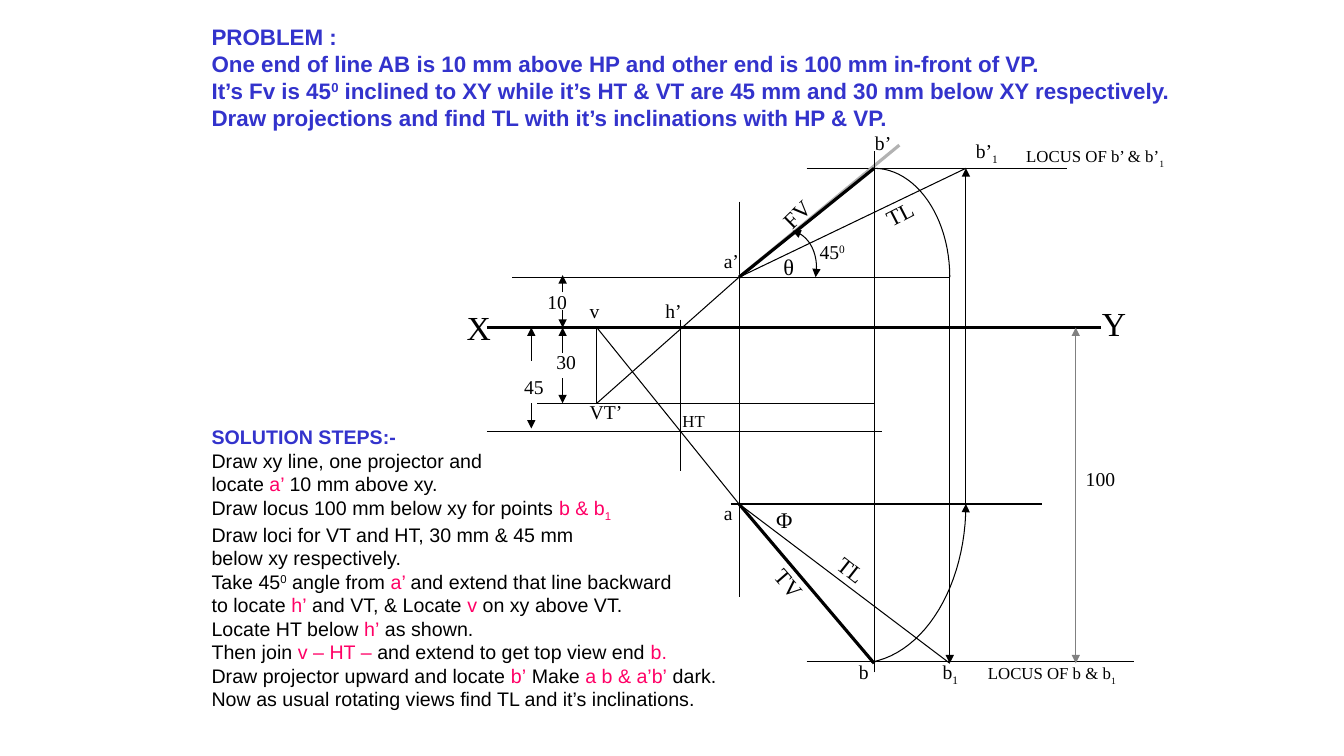
"""Build a descriptive-geometry slide: projections of line AB with its traces."""
from typing import NamedTuple

import pptx
import pptx.dml.color
import pptx.enum.shapes
import pptx.enum.text
import pptx.oxml.ns
import pptx.util
from lxml import etree

Inches = pptx.util.Inches
COLORS = {"black": "000000", "blue": "3333CC", "pink": "FF0066",
          "grey": "808080", "light": "B2B2B2"}
SERIF, SANS = "Times New Roman", "Arial"
SUB, SUPER = -25000, 30000
THIN, THICK = 0.75, 2.25

XY, A_FRONT_Y, B_FRONT_Y, A_TOP_Y, B_TOP_Y = 3.25, 2.75, 1.67, 5, 6.58
VT_Y, HT_Y, B_LOCUS_Y = 4, 4.28, 6.56
V_X, H_X, A_X, B_X, B1_TOP_X, B1_FRONT_X = 5.92, 6.75, 7.33, 8.67, 9.42, 9.58


class Run(NamedTuple):
    text: str
    color: str = "black"
    base: int = 0
    bold: bool = False


class Label(NamedTuple):
    left: float
    top: float
    width: float
    height: float
    runs: tuple
    size: int = 14
    rotation: float = 0


class Line(NamedTuple):
    x1: float
    y1: float
    x2: float
    y2: float
    width: float = THIN
    color: str = "black"
    ends: tuple = ()


class Arc(NamedTuple):
    points: tuple
    ends: tuple = ()


class Dimension(NamedTuple):
    label: Label
    arrows: tuple


def tag(text: str, sub: str = "", base: int = SUB) -> tuple:
    return (Run(text), Run(sub, base=base)) if sub else (Run(text),)


def pink(text: str) -> Run:
    return Run(text, "pink")


def blue(text: str, base: int = 0) -> Run:
    return Run(text, "blue", base, True)


def rgb(name: str) -> pptx.dml.color.RGBColor:
    return pptx.dml.color.RGBColor.from_string(COLORS[name])


def style_line(sp, width: float, color: str, ends: tuple) -> None:
    sp.line.width = pptx.util.Pt(width)
    sp.line.color.rgb = rgb(color)
    ln = sp.line._get_or_add_ln()
    for end in ends:
        etree.SubElement(ln, pptx.oxml.ns.qn(f"a:{end}End"), type="triangle")


def draw_line(shapes, line: Line) -> None:
    sp = shapes.add_connector(
        pptx.enum.shapes.MSO_CONNECTOR.STRAIGHT,
        Inches(line.x1), Inches(line.y1), Inches(line.x2), Inches(line.y2))
    style_line(sp, line.width, line.color, line.ends)
    etree.SubElement(sp._element.spPr, pptx.oxml.ns.qn("a:effectLst"))


def draw_arc(shapes, arc: Arc, steps: int = 24) -> None:
    curve = []
    for i in range(steps + 1):
        t = i / steps
        weights = ((1 - t) ** 3, 3 * t * (1 - t) ** 2, 3 * t * t * (1 - t), t ** 3)
        curve.append(tuple(Inches(sum(w * p[axis] for w, p in zip(weights, arc.points)))
                           for axis in (0, 1)))
    builder = shapes.build_freeform(*curve[0])
    builder.add_line_segments(curve[1:], close=False)
    sp = builder.convert_to_shape()
    sp.shadow.inherit = False
    sp.fill.background()
    style_line(sp, THIN, "black", arc.ends)


def draw_text(shapes, label: Label, paragraphs: tuple = (), font: str = SERIF) -> None:
    sp = shapes.add_textbox(*map(Inches, label[:4]))
    sp.rotation = label.rotation
    tf = sp.text_frame
    tf.word_wrap = bool(label.rotation)
    tf.auto_size = pptx.enum.text.MSO_AUTO_SIZE.SHAPE_TO_FIT_TEXT
    for i, runs in enumerate(paragraphs or (label.runs,)):
        p = tf.add_paragraph() if i else tf.paragraphs[0]
        for run in runs:
            r = p.add_run()
            r.text = run.text
            r.font.name = font
            r.font.size = pptx.util.Pt(label.size)
            r.font.bold = run.bold
            r.font.color.rgb = rgb(run.color)
            if run.base:
                r._r.get_or_add_rPr().set("baseline", str(run.base))


def draw_dimension(shapes, dim: Dimension) -> None:
    group = shapes.add_group_shape().shapes
    for x, start, end in dim.arrows:
        draw_line(group, Line(x, start, x, end, ends=("tail",)))
    draw_text(group, dim.label)


LINES = (
    Line(4.83, XY, 10.92, XY, THICK),
    Line(5.33, VT_Y, B_X, VT_Y),
    Line(4.83, HT_Y, 8.75, HT_Y),
    Line(A_X, 2, A_X, 5.92),
    Line(8, B_FRONT_Y, 10.58, B_FRONT_Y),
    Line(8.92, 1.44, A_X, A_FRONT_Y, THICK, "light"),
    Line(5.08, A_FRONT_Y, B1_TOP_X, A_FRONT_Y),
    Line(A_X, A_FRONT_Y, V_X, VT_Y),
    Line(V_X, XY, V_X, VT_Y),
    Line(H_X, 3.17, H_X, 4.67),
    Line(V_X, XY, A_X, A_TOP_Y),
    Line(8, B_LOCUS_Y, 11.25, B_LOCUS_Y),
    Line(10.67, XY, 10.67, B_TOP_Y, THIN, "grey", ("head", "tail")),
    Line(A_X, A_TOP_Y, B_X, B_TOP_Y, THICK),
    Line(7.25, A_TOP_Y, 10.33, A_TOP_Y),
    Line(B1_FRONT_X, A_TOP_Y, B1_FRONT_X, B_FRONT_Y, ends=("tail",)),
    Line(A_X, A_FRONT_Y, B1_FRONT_X, B_FRONT_Y),
    Line(B1_TOP_X, 2.67, B1_TOP_X, B_TOP_Y, ends=("tail",)),
    Line(A_X, A_TOP_Y, B1_TOP_X, B_TOP_Y),
    Line(B_X, 6.67, B_X, 1.5),
    Line(B_X, B_FRONT_Y, A_X, A_FRONT_Y, THICK),
)
ARCS = (
    Arc(((8.64, 6.57), (9.18, 6.47), (9.58, 5.8), (B1_FRONT_X, A_TOP_Y)), ("tail",)),
    Arc(((B_X, B_FRONT_Y), (9.08, 1.67), (9.42, 2.15), (B1_TOP_X, A_FRONT_Y))),
    Arc(((7.86, 2.29), (8.03, 2.33), (8.13, 2.53), (8.09, 2.75)), ("head", "tail")),
)
DIMENSIONS = (
    Dimension(Label(5.42, 3.42, 0.4, 0.33, tag("30")), ((5.58, 3.75, VT_Y), (5.58, 3.5, XY))),
    Dimension(Label(5.1, 3.67, 0.4, 0.33, tag("45")), ((5.27, 3.58, XY), (5.27, 4, 4.25))),
    Dimension(Label(5.33, 2.83, 0.4, 0.33, tag("10")), ((5.58, 3.08, XY), (5.58, 2.9, 2.73))),
)
LABELS = (
    Label(7.08, 2.42, 0.35, 0.33, tag("a’")),
    Label(8.58, 1.25, 0.36, 0.33, tag("b’")),
    Label(7.61, 1.82, 0.83, 0.37, tag("FV"), 16, 315.5),
    Label(10.08, 1.4, 1.59, 0.3, tag("LOCUS OF b’ & b’", "1"), 12),
    Label(4.53, 3, 0.44, 0.5, tag("X"), 24),
    Label(10.83, 2.96, 0.44, 0.5, tag("Y"), 24),
    Label(8.03, 2.33, 0.46, 0.34, tag("45", "0", SUPER)),
    Label(5.75, 3.92, 0.56, 0.33, tag("VT’")),
    Label(5.75, 2.92, 0.3, 0.33, tag("v")),
    Label(6.67, 4.03, 0.42, 0.3, tag("HT"), 12),
    Label(6.5, 2.92, 0.36, 0.33, tag("h’")),
    Label(9.7, 6.53, 1.48, 0.3, tag("LOCUS OF b & b", "1"), 12),
    Label(10.67, 4.58, 0.49, 0.33, tag("100")),
    Label(7.08, 4.92, 0.29, 0.33, tag("a")),
    Label(8.42, 6.5, 0.3, 0.33, tag("b")),
    Label(7.52, 5.73, 0.83, 0.37, tag("TV"), 16, 49),
    Label(9.58, 1.33, 0.43, 0.34, tag("b’", "1")),
    Label(7.67, 2.46, 0.32, 0.37, tag("θ"), 16),
    Label(8.67, 1.85, 0.83, 0.37, tag("TL"), 16, 332.8),
    Label(7.6, 4.97, 0.37, 0.37, tag("Φ"), 16),
    Label(8.17, 5.58, 0.83, 0.37, tag("TL"), 16, 38.3),
    Label(9.25, 6.5, 0.36, 0.34, tag("b", "1")),
)
PROBLEM = (
    (blue("PROBLEM :"),),
    (blue("One end of line AB is 10 mm above HP and other end is 100 mm in-front of VP."),),
    (blue("It’s Fv is 45"), blue("0", SUPER),
     blue(" inclined to XY while it’s HT & VT are 45 mm and 30 mm below XY respectively.")),
    (blue("Draw projections and find TL with it’s inclinations with HP & VP."),),
)
STEPS = (
    (blue("SOLUTION STEPS:-"),),
    tag("Draw xy line, one projector and"),
    (Run("locate "), pink("a’ "), Run("10 mm above xy.")),
    (Run("Draw locus 100 mm below xy for points "), pink("b & b"), Run("1", "pink", SUB)),
    tag("Draw loci for VT and HT, 30 mm & 45 mm"),
    tag("below xy respectively."),
    (*tag("Take 45", "0", SUPER), Run(" angle from "), pink("a’ "),
     Run("and extend that line backward")),
    (Run("to locate "), pink("h’"), Run(" and VT, & Locate "), pink("v"),
     Run(" on xy above VT.")),
    (Run("Locate HT below "), pink("h’"), Run(" as shown.")),
    (Run("Then join "), pink("v – HT –"), Run(" and extend to get top view end "), pink("b.")),
    (Run("Draw projector upward and locate "), pink("b’"), Run(" Make "),
     pink("a b & a’b’"), Run(" dark.")),
    tag("Now as usual rotating views find TL and it’s inclinations."),
)


def main() -> None:
    prs = pptx.Presentation()
    prs.slide_width, prs.slide_height = Inches(13.33), Inches(7.5)
    s = prs.slides.add_slide(prs.slide_layouts[6])
    for items, draw in ((LINES, draw_line), (ARCS, draw_arc),
                        (DIMENSIONS, draw_dimension), (LABELS, draw_text)):
        for item in items:
            draw(s.shapes, item)
    draw_text(s.shapes, Label(2, 0.18, 9.85, 1.18, (), 16), PROBLEM, SANS)
    draw_text(s.shapes, Label(2, 4.17, 5.21, 2.93, ()), STEPS, SANS)
    prs.save("out.pptx")


if __name__ == "__main__":
    main()
